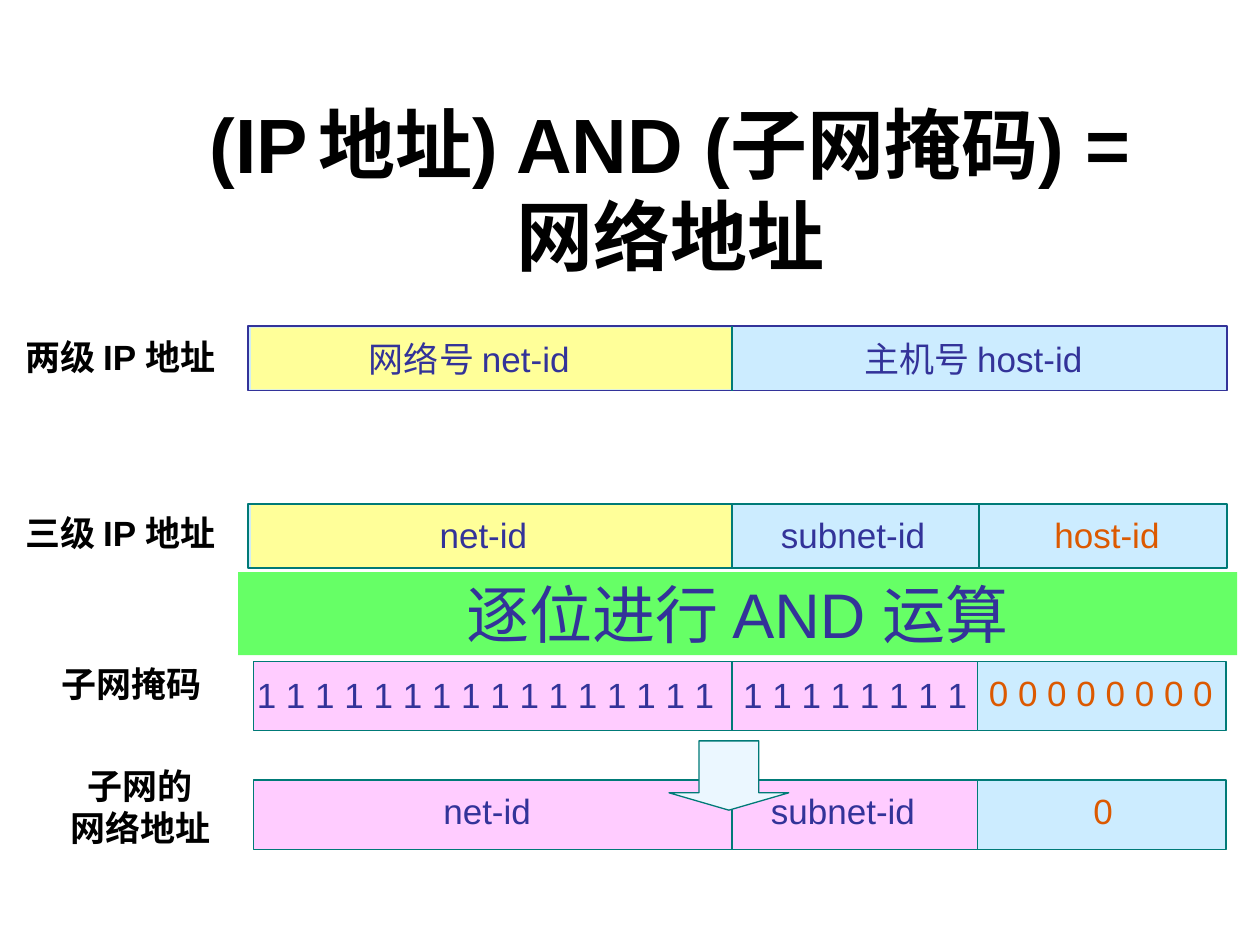
from lxml.etree import SubElement
from pptx import Presentation
from pptx.dml.color import RGBColor
from pptx.enum.shapes import MSO_CONNECTOR as Connector, MSO_SHAPE as Shape
from pptx.enum.text import MSO_ANCHOR as Anchor, MSO_AUTO_SIZE as AutoSize, PP_ALIGN as Align
from pptx.oxml.ns import qn
from pptx.util import Inches, Pt

BLACK = RGBColor(0x00, 0x00, 0x00)
NAVY = RGBColor(0x33, 0x33, 0x99)
TEAL = RGBColor(0x00, 0x7A, 0x77)
ORANGE = RGBColor(0xDC, 0x59, 0x00)
YELLOW = RGBColor(0xFF, 0xFF, 0x99)
SKY = RGBColor(0xCC, 0xEC, 0xFF)
PINK = RGBColor(0xFF, 0xCC, 0xFF)
GREEN = RGBColor(0x66, 0xFF, 0x66)
PALE = RGBColor(0xEB, 0xF7, 0xFF)

LEFT, NET_END, SUBNET_END, RIGHT = 1.97, 5.81, 7.77, 9.74
MASK_LEFT, MASK_SPLIT, MASK_RIGHT = 2.01, 7.76, 9.73
TWO_LEVEL, THREE_LEVEL, MASK, RESULT = 2.59, 4.0, 5.25, 6.19
ADDRESS_HEIGHT, MASK_HEIGHT = 0.51, 0.55
LINE_HEIGHT = 0.43
SECOND_OCTETS_TAB = 3.86

TITLE = [("(IP", 44), (" ", 20), ("地址) AND (子网掩码) =\v网络地址", 44)]
ADDRESS_ROWS = [(TWO_LEVEL, NAVY, [NET_END]), (THREE_LEVEL, TEAL, [NET_END, SUBNET_END])]
MASK_ROWS = [MASK, RESULT]
ROW_NAMES = [
    (0.1, 2.61, 1.92, ["两级 IP 地址"]),
    (0.1, 4.01, 1.92, ["三级 IP 地址"]),
    (0.39, 5.21, 1.31, ["子网掩码"]),
    (0.46, 6.02, 1.31, ["子网的", "网络地址"]),
]
ONES = " ".join("1" * 16) + "\t" + " ".join("1" * 8)
FIELDS = [
    (TWO_LEVEL, 0.04, [(2.83, 1.96, "网络号 net-id", NAVY), (6.76, 2.1, "主机号 host-id", NAVY)]),
    (THREE_LEVEL, 0.03, [(3.39, 0.95, "net-id", NAVY), (6.1, 1.4, "subnet-id", NAVY),
                         (8.27, 1.1, "host-id", ORANGE)]),
    (MASK, 0.05, [(1.94, 5.84, ONES, NAVY)]),
    (MASK, 0.03, [(7.75, 2, " ".join("0" * 8), ORANGE)]),
    (RESULT, 0.03, [(3.42, 0.95, "net-id", NAVY), (6.02, 1.4, "subnet-id", NAVY),
                    (8.58, 0.37, "0", ORANGE)]),
]


def inches(*lengths):
    return [Inches(length) for length in lengths]


def add_block(slide, kind, box, fill, line=None, weight=1):
    shape = slide.shapes.add_shape(kind, *inches(*box))
    shape.shadow.inherit = False
    shape.fill.solid()
    shape.fill.fore_color.rgb = fill
    if line is None:
        shape.line.fill.background()
    else:
        shape.line.color.rgb = line
        shape.line.width = Pt(weight)
    return shape


def add_divider(slide, left, top, height):
    divider = slide.shapes.add_connector(
        Connector.STRAIGHT, *inches(left, top, left, top + height))
    divider.line.color.rgb = TEAL
    divider.line.width = Pt(1)
    SubElement(divider._element.spPr, qn("a:effectLst"))


def add_tab_stop(paragraph, position):
    tab_list = SubElement(paragraph._p.get_or_add_pPr(), qn("a:tabLst"))
    SubElement(tab_list, qn("a:tab"), pos=str(Inches(position)), algn="l")


def write(paragraph, text, size, color, bold=False):
    run = paragraph.add_run()
    run.text = text
    run_format = {"name": "Arial", "size": Pt(size), "bold": bold}
    for name, value in run_format.items():
        setattr(run.font, name, value)
    run.font.color.rgb = color


def add_label(slide, box, lines, color, bold=False):
    frame = slide.shapes.add_textbox(*inches(*box)).text_frame
    frame.word_wrap = False
    frame.auto_size = AutoSize.SHAPE_TO_FIT_TEXT
    for index, text in enumerate(lines):
        paragraph = frame.add_paragraph() if index else frame.paragraphs[0]
        paragraph.alignment = Align.CENTER if len(lines) > 1 else Align.LEFT
        if "\t" in text:
            add_tab_stop(paragraph, SECOND_OCTETS_TAB)
        write(paragraph, text, 20, color, bold)


def add_title(slide):
    frame = slide.shapes.add_textbox(*inches(1.06, 0.68, 8.52, 1.6)).text_frame
    frame.word_wrap = True
    frame.vertical_anchor = Anchor.BOTTOM
    paragraph = frame.paragraphs[0]
    paragraph.alignment = Align.CENTER
    for text, size in TITLE:
        for index, part in enumerate(text.split("\v")):
            if index:
                paragraph.add_line_break()
            write(paragraph, part, size, BLACK, True)


def main():
    presentation = Presentation()
    presentation.slide_width, presentation.slide_height = inches(10, 7.5)
    slide = presentation.slides.add_slide(presentation.slide_layouts[6])
    add_title(slide)

    for top, outline, dividers in ADDRESS_ROWS:
        add_block(slide, Shape.RECTANGLE, (LEFT, top, RIGHT - LEFT, ADDRESS_HEIGHT), SKY, outline)
        add_block(slide, Shape.RECTANGLE,
                  (LEFT + 0.02, top + 0.01, NET_END - LEFT - 0.03, ADDRESS_HEIGHT - 0.02), YELLOW)
        for left in dividers:
            add_divider(slide, left, top, ADDRESS_HEIGHT)

    for top in MASK_ROWS:
        for left, right, fill in [(MASK_SPLIT, MASK_RIGHT, SKY), (MASK_LEFT, MASK_SPLIT, PINK)]:
            add_block(slide, Shape.RECTANGLE, (left, top, right - left, MASK_HEIGHT),
                      fill, TEAL, 0.75)
        add_divider(slide, NET_END, top, MASK_HEIGHT)

    for left, top, width, lines in ROW_NAMES:
        height = LINE_HEIGHT + 0.33 * (len(lines) - 1)
        add_label(slide, (left, top, width, height), lines, BLACK, True)
    for top, offset, labels in FIELDS:
        for left, width, text, color in labels:
            add_label(slide, (left, top + offset, width, LINE_HEIGHT), [text], color)

    band = add_block(slide, Shape.RECTANGLE, (1.89, 4.54, 7.93, 0.66), GREEN)
    band.text_frame.word_wrap = False
    band.text_frame.vertical_anchor = Anchor.MIDDLE
    band.text_frame.paragraphs[0].alignment = Align.CENTER
    write(band.text_frame.paragraphs[0], "逐位进行 AND 运算", 36, NAVY)

    arrow = add_block(slide, Shape.DOWN_ARROW, (5.31, 5.88, 0.95, 0.55), PALE, TEAL, 0.75)
    arrow.adjustments[0], arrow.adjustments[1] = 0.5, 0.25
    presentation.save("out.pptx")


if __name__ == "__main__":
    main()
